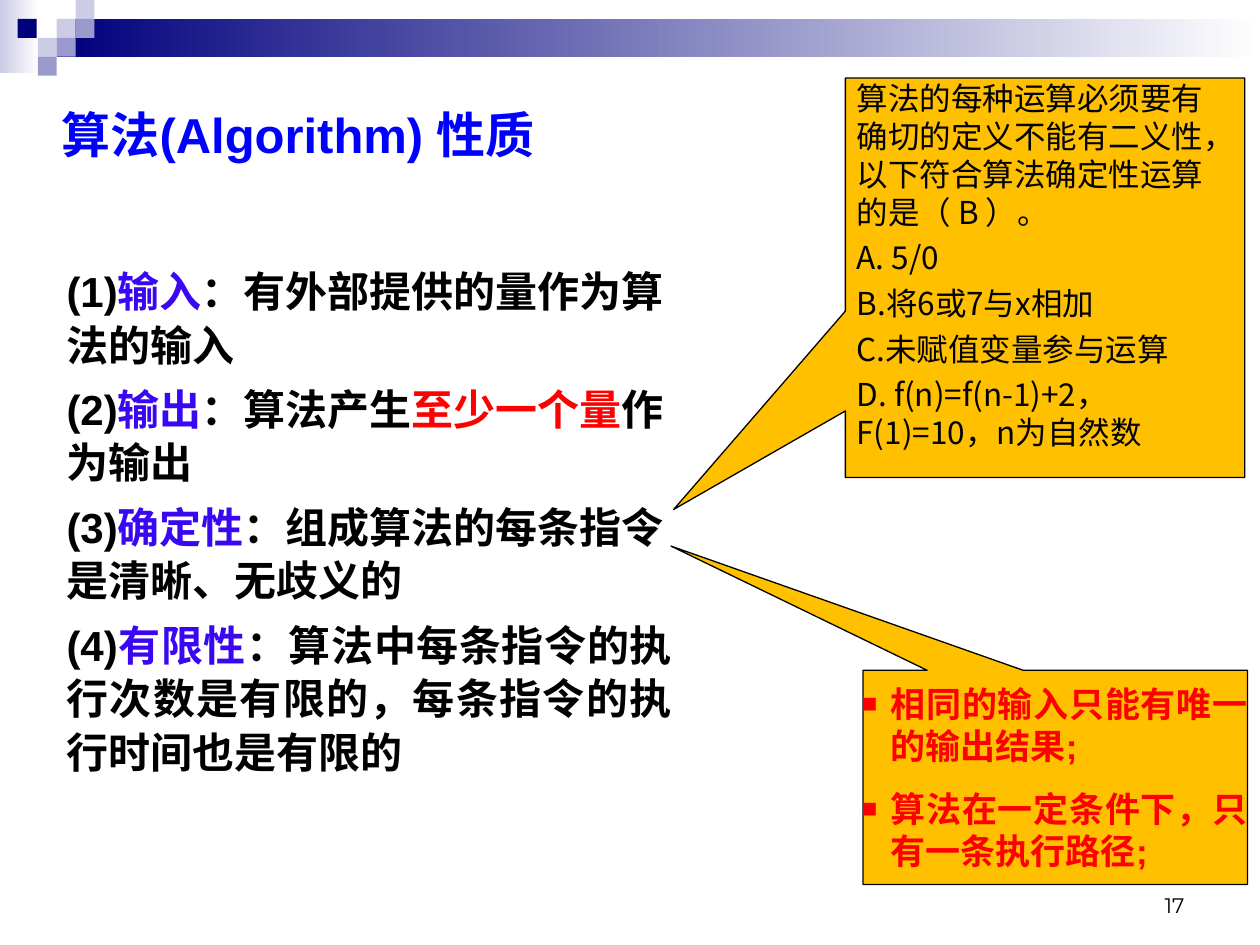
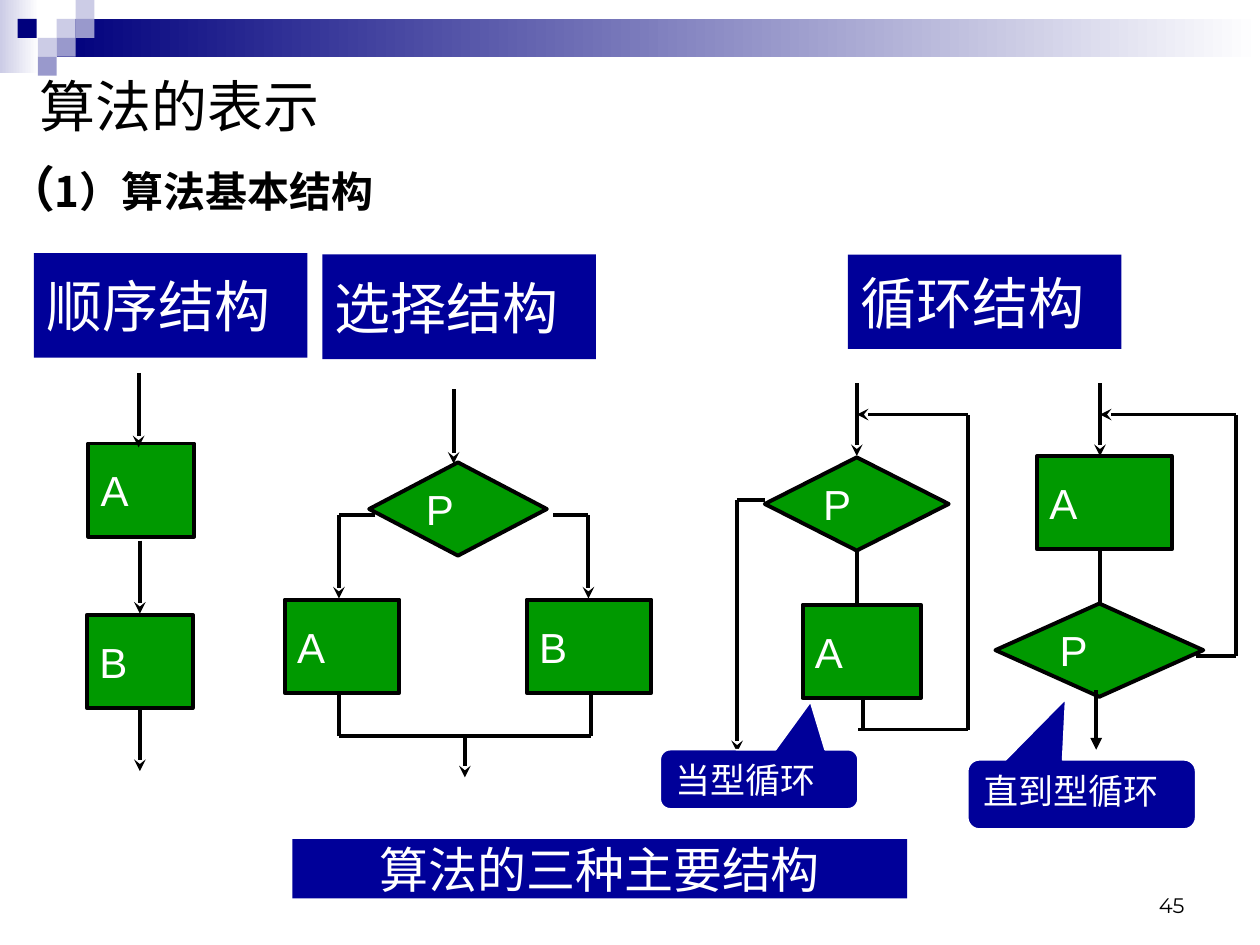
from dataclasses import dataclass
from itertools import pairwise
from typing import Optional

from lxml.etree import SubElement
from pptx import Presentation
from pptx.dml.color import RGBColor
from pptx.enum.shapes import MSO_CONNECTOR, MSO_SHAPE
from pptx.enum.text import MSO_ANCHOR, MSO_AUTO_SIZE, PP_ALIGN
from pptx.oxml.ns import qn
from pptx.util import Inches, Pt

BLACK, WHITE, RED = "000000", "FFFFFF", "FF0000"
NAVY, GREEN, AMBER = "000099", "009900", "FFC000"
TITLE_BLUE, TERM_BLUE = "0000FF", "3907F1"
BAND_NAVY, LAVENDER, PALE_LAVENDER = "00007D", "9999CC", "CCCCE6"
LATIN, CHINESE, NUMBER = "Arial", "Noto Sans CJK SC", "Montserrat"
FLOW_LINE = 2.25


@dataclass
class Run:
    text: str
    size: float
    color: str = BLACK
    font: str = LATIN
    bold: bool = False


@dataclass
class Paragraph:
    runs: list[Run]
    align: PP_ALIGN = PP_ALIGN.LEFT
    before: float = 0
    line_points: Optional[float] = None
    bullet: Optional[str] = None


@dataclass
class Box:
    left: float
    top: float
    width: float
    height: float


@dataclass
class Node:
    text: str
    box: Box
    kind: MSO_SHAPE = MSO_SHAPE.RECTANGLE


@dataclass
class Route:
    points: list[tuple[float, float]]
    head: Optional[str] = None


def rgb(color: str) -> RGBColor:
    return RGBColor.from_string(color)


def place(shape, box: Box) -> None:
    shape.left, shape.top = Inches(box.left), Inches(box.top)
    shape.width, shape.height = Inches(box.width), Inches(box.height)


def add_bullet(paragraph, color: str) -> None:
    properties = paragraph._p.get_or_add_pPr()
    properties.set("marL", str(Inches(0.23)))
    properties.set("indent", str(-Inches(0.23)))
    bullet_color = SubElement(properties, qn("a:buClr"))
    SubElement(bullet_color, qn("a:srgbClr"), val=color)
    SubElement(properties, qn("a:buSzPct"), val="75000")
    SubElement(properties, qn("a:buFont"), typeface=LATIN)
    SubElement(properties, qn("a:buChar"), char="■")


def write(shape, paragraphs: list[Paragraph], anchor=MSO_ANCHOR.TOP) -> None:
    frame = shape.text_frame
    frame.word_wrap = True
    frame.auto_size = MSO_AUTO_SIZE.NONE
    frame.vertical_anchor = anchor
    for index, item in enumerate(paragraphs):
        paragraph = frame.add_paragraph() if index else frame.paragraphs[0]
        paragraph.alignment = item.align
        paragraph.space_before = Pt(item.before)
        if item.line_points:
            paragraph.line_spacing = Pt(item.line_points)
        if item.bullet:
            add_bullet(paragraph, item.bullet)
        for part in item.runs:
            run = paragraph.add_run()
            run.text = part.text
            run.font.name, run.font.size = part.font, Pt(part.size)
            run.font.bold = part.bold
            run.font.color.rgb = rgb(part.color)
            SubElement(run._r.get_or_add_rPr(), qn("a:ea"), typeface=CHINESE)


def add_text(slide, box: Box, paragraphs: list[Paragraph],
             anchor=MSO_ANCHOR.TOP) -> None:
    shape = slide.shapes.add_textbox(0, 0, 0, 0)
    place(shape, box)
    write(shape, paragraphs, anchor)


def add_panel(slide, kind: MSO_SHAPE, box: Box, fill: str,
              line: Optional[str] = None, line_width: float = 0.75,
              adjustments: tuple[float, ...] = ()):
    shape = slide.shapes.add_shape(kind, 0, 0, 0, 0)
    place(shape, box)
    shape.shadow.inherit = False
    shape.fill.solid()
    shape.fill.fore_color.rgb = rgb(fill)
    if line:
        shape.line.color.rgb = rgb(line)
        shape.line.width = Pt(line_width)
    else:
        shape.line.fill.background()
    for index, value in enumerate(adjustments):
        shape.adjustments[index] = value
    return shape


def add_fade(slide, box: Box, color: str) -> None:
    shape = add_panel(slide, MSO_SHAPE.RECTANGLE, box, color)
    shape.fill.gradient()
    shape.fill.gradient_angle = 0
    for stop, position, stop_color in zip(shape.fill.gradient_stops, (0, 1),
                                          (color, WHITE)):
        stop.position = position
        stop.color.rgb = rgb(stop_color)


def add_node(slide, node: Node) -> None:
    shape = add_panel(slide, node.kind, node.box, GREEN, BLACK, FLOW_LINE)
    write(shape, [Paragraph([Run(node.text, 24, WHITE)])], MSO_ANCHOR.MIDDLE)


def add_route(slide, route: Route) -> None:
    segments = list(pairwise(route.points))
    for index, (start, end) in enumerate(segments):
        connector = slide.shapes.add_connector(
            MSO_CONNECTOR.STRAIGHT, *(Inches(value) for value in start + end))
        connector.line.color.rgb = rgb(BLACK)
        connector.line.width = Pt(FLOW_LINE)
        if route.head and index == len(segments) - 1:
            SubElement(connector.line._get_or_add_ln(), qn("a:tailEnd"),
                       type=route.head)
        SubElement(connector._element.spPr, qn("a:effectLst"))


def add_base(presentation, number: str, title: Run, title_box: Box, anchor):
    """Start a slide with the corner mosaic, top band, title and number."""
    slide = presentation.slides.add_slide(presentation.slide_layouts[5])
    add_fade(slide, Box(0, 0, 0.31, 0.58), PALE_LAVENDER)
    add_fade(slide, Box(0.45, 0.15, 9.55, 0.3), BAND_NAVY)
    for left, top, color in MOSAIC:
        add_panel(slide, MSO_SHAPE.RECTANGLE, Box(left, top, 0.15, 0.15), color)
    place(slide.shapes.title, title_box)
    write(slide.shapes.title, [Paragraph([title])], anchor)
    add_text(slide, Box(7.17, 6.83, 2.33, 0.5),
             [Paragraph([Run(number, 12, font=NUMBER)], PP_ALIGN.RIGHT)],
             MSO_ANCHOR.BOTTOM)
    return slide


MOSAIC = [
    (0.45, 0.15, PALE_LAVENDER), (0.6, 0, PALE_LAVENDER), (0.6, 0.15, LAVENDER),
    (0.3, 0.3, PALE_LAVENDER), (0.14, 0.15, BAND_NAVY),
    (0.45, 0.3, LAVENDER), (0.3, 0.45, LAVENDER),
]

# Slide 1: each property is a list of (text, colour) pieces
PROPERTIES = [
    [("(1)", BLACK), ("输入", TERM_BLUE), ("：有外部提供的量作为算法的输入", BLACK)],
    [("(2)", BLACK), ("输出", TERM_BLUE), ("：算法产生", BLACK),
     ("至少一个量", RED), ("作为输出", BLACK)],
    [("(3)", BLACK), ("确定性", TERM_BLUE),
     ("：组成算法的每条指令是清晰、无歧义的", BLACK)],
    [("(4)", BLACK), ("有限性", TERM_BLUE),
     ("：算法中每条指令的执行次数是有限的，每条指令的执行时间也是有限的", BLACK)],
]
QUIZ = [
    "算法的每种运算必须要有确切的定义不能有二义性，以下符合算法确定性运算的是（ B ）。",
    "A. 5/0",
    "B.将6或7与x相加",
    "C.未赋值变量参与运算",
    "D. f(n)=f(n-1)+2，F(1)=10，n为自然数",
]
RULES = ["相同的输入只能有唯一的输出结果;", "算法在一定条件下，只有一条执行路径;"]

# Slide 2: headings, flowchart nodes, routes and loop names
HEADINGS = [
    ("顺序结构", Box(0.27, 2.01, 2.17, 0.83)),
    ("选择结构", Box(2.56, 2.02, 2.17, 0.83)),
    ("循环结构", Box(6.73, 2.02, 2.17, 0.75)),
]
NODE_HEIGHT = 0.74
NODES = [
    Node("A", Box(0.7, 3.52, 0.84, NODE_HEIGHT)),
    Node("B", Box(0.69, 4.88, 0.84, NODE_HEIGHT)),
    Node("P", Box(2.93, 3.67, 1.41, NODE_HEIGHT), MSO_SHAPE.DIAMOND),
    Node("A", Box(2.26, 4.76, 0.91, NODE_HEIGHT)),
    Node("B", Box(4.18, 4.76, 0.99, NODE_HEIGHT)),
    Node("P", Box(6.07, 3.63, 1.46, NODE_HEIGHT), MSO_SHAPE.DIAMOND),
    Node("A", Box(6.37, 4.8, 0.94, NODE_HEIGHT)),
    Node("A", Box(8.23, 3.62, 1.07, NODE_HEIGHT)),
    Node("P", Box(7.9, 4.79, 1.65, NODE_HEIGHT), MSO_SHAPE.DIAMOND),
]
ROUTES = [
    # Sequence
    Route([(1.1, 2.96), (1.1, 3.55)], "stealth"),
    Route([(1.11, 4.29), (1.11, 4.87)], "stealth"),
    Route([(1.11, 5.62), (1.11, 6.12)], "stealth"),
    # Selection
    Route([(3.6, 3.09), (3.6, 3.68)], "stealth"),
    Route([(2.98, 4.09), (2.69, 4.09), (2.69, 4.75)], "stealth"),
    Route([(4.39, 4.09), (4.67, 4.09), (4.67, 4.75)], "stealth"),
    Route([(2.69, 5.5), (2.69, 5.84), (4.69, 5.84), (4.69, 5.5)]),
    Route([(3.69, 5.84), (3.69, 6.17)], "stealth"),
    # While loop
    Route([(6.8, 3.04), (6.8, 3.62)], "stealth"),
    Route([(6.8, 4.37), (6.8, 4.79)]),
    Route([(6.85, 5.54), (6.85, 5.79)]),
    Route([(6.81, 5.79), (7.68, 5.79), (7.68, 3.29), (6.8, 3.29)], "stealth"),
    Route([(6.07, 3.97), (5.85, 3.97), (5.85, 5.97)], "stealth"),
    # Until loop
    Route([(8.73, 3.04), (8.73, 3.62)], "stealth"),
    Route([(8.73, 4.37), (8.73, 4.79)]),
    Route([(9.49, 5.21), (9.81, 5.21), (9.81, 3.29), (8.73, 3.29)], "stealth"),
    Route([(8.7, 5.48), (8.7, 5.95)], "triangle"),
]
LOOP_NAMES = [
    ("当型循环", Box(5.24, 5.95, 1.57, 0.47), (0.26, -1.31, 0.17)),
    ("直到型循环", Box(7.68, 6.03, 1.81, 0.55), (-0.07, -1.38, 0.17)),
]


def build_properties_slide(presentation) -> None:
    slide = add_base(presentation, "17",
                     Run("算法(Algorithm) 性质", 28, TITLE_BLUE, bold=True),
                     Box(0.39, 0.31, 4.77, 1.5), MSO_ANCHOR.MIDDLE)
    # Callouts with their text
    add_panel(slide, MSO_SHAPE.RECTANGULAR_CALLOUT, Box(6.85, 5.32, 3.05, 1.7),
              AMBER, BLACK, adjustments=(-1.0, -1.08))
    add_text(slide, Box(6.74, 5.37, 3.26, 2.27),
             [Paragraph([Run(text, 20, RED, bold=True)], PP_ALIGN.JUSTIFY,
                        before=12 * index, bullet=RED)
              for index, text in enumerate(RULES)])
    add_panel(slide, MSO_SHAPE.RECTANGULAR_CALLOUT, Box(6.71, 0.62, 3.17, 3.17),
              AMBER, BLACK, adjustments=(-0.93, 0.58))
    add_text(slide, Box(6.7, 0.58, 3.15, 3.72),
             [Paragraph([Run(text, 18, font=CHINESE)], before=4.5)
              for text in QUIZ])
    # Property list; only the last one is justified
    last = len(PROPERTIES) - 1
    add_text(slide, Box(0.43, 2.03, 5, 4.19),
             [Paragraph([Run(text, 24, color, bold=True) for text, color in pieces],
                        PP_ALIGN.JUSTIFY if index == last else PP_ALIGN.LEFT,
                        before=6 if index else 0, line_points=30.7)
              for index, pieces in enumerate(PROPERTIES)])


def build_structures_slide(presentation) -> None:
    slide = add_base(presentation, "45", Run("算法的表示", 32, font=CHINESE),
                     Box(0.21, 0.52, 2.6, 0.64), MSO_ANCHOR.TOP)
    add_text(slide, Box(-0.05, 1.21, 3.6, 0.57),
             [Paragraph([Run("（", 28, font=CHINESE, bold=True),
                         Run("1）算法基本结构", 24, font=CHINESE, bold=True)])])
    # Headings and bottom banner
    banners = [(text, box, 32, PP_ALIGN.LEFT) for text, box in HEADINGS]
    banners.append(("算法的三种主要结构", Box(2.32, 6.66, 4.88, 0.47), 28,
                    PP_ALIGN.CENTER))
    for text, box, size, align in banners:
        shape = add_panel(slide, MSO_SHAPE.RECTANGLE, box, NAVY)
        write(shape, [Paragraph([Run(text, size, WHITE)], align)],
              MSO_ANCHOR.MIDDLE)
    # Flowcharts
    for node in NODES:
        add_node(slide, node)
    for route in ROUTES:
        add_route(slide, route)
    for text, box, adjustments in LOOP_NAMES:
        shape = add_panel(slide, MSO_SHAPE.ROUNDED_RECTANGULAR_CALLOUT, box,
                          NAVY, WHITE, 1, adjustments)
        write(shape, [Paragraph([Run(text, 20, WHITE)])])


presentation = Presentation()
presentation.slide_width, presentation.slide_height = Inches(10), Inches(7.5)
build_properties_slide(presentation)
build_structures_slide(presentation)
presentation.save("out.pptx")
